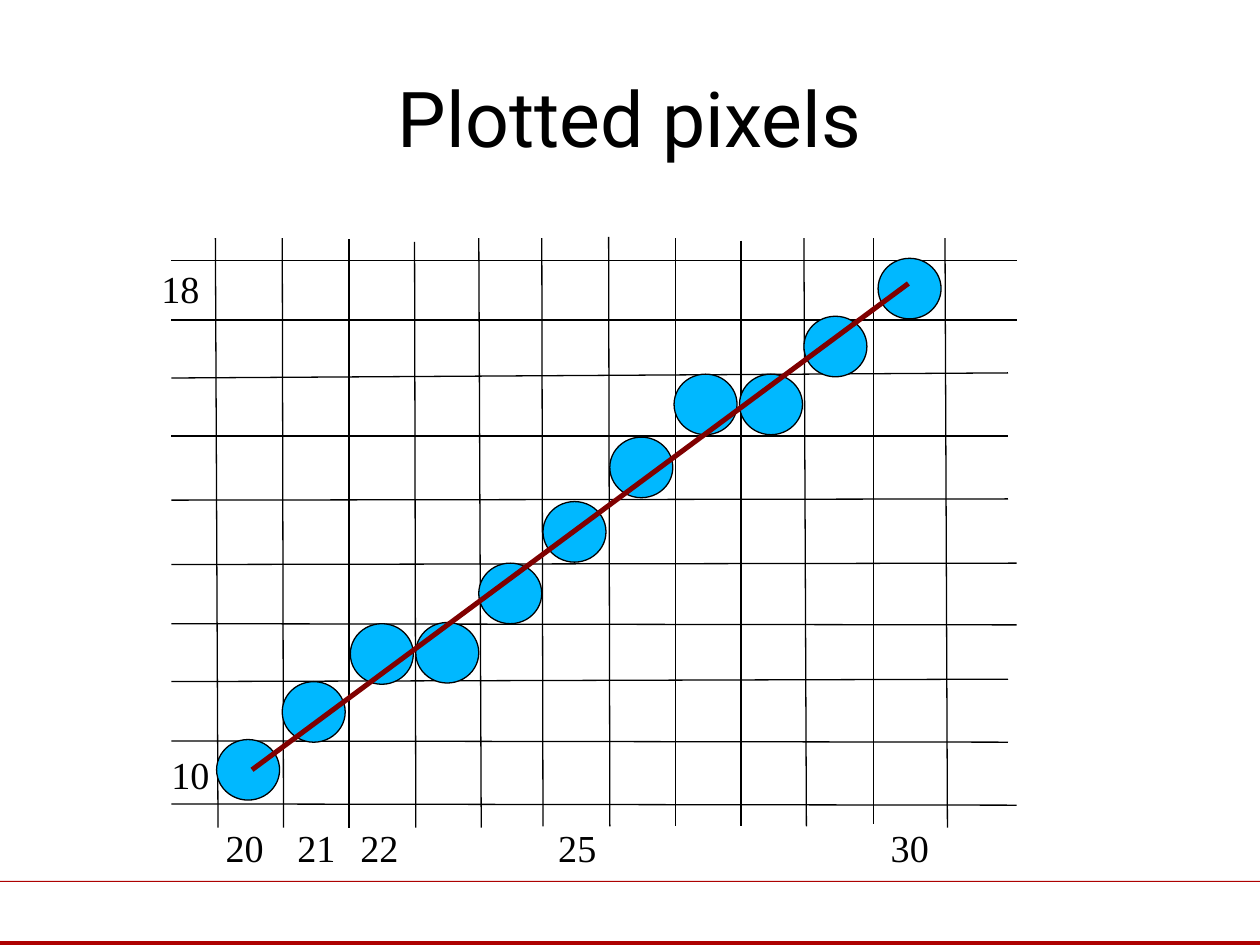
import pptx
import pptx.util
import pptx.dml.color
import pptx.enum.shapes
import pptx.enum.text
import pptx.oxml

Pt = pptx.util.Pt
RGBColor = pptx.dml.color.RGBColor
MSO_SHAPE = pptx.enum.shapes.MSO_SHAPE
MSO_CONNECTOR = pptx.enum.shapes.MSO_CONNECTOR
MSO_ANCHOR = pptx.enum.text.MSO_ANCHOR
MSO_AUTO_SIZE = pptx.enum.text.MSO_AUTO_SIZE
PP_ALIGN = pptx.enum.text.PP_ALIGN

BLACK = RGBColor(0x00, 0x00, 0x00)
RED = RGBColor(0xAD, 0x01, 0x01)
MAROON = RGBColor(0x80, 0x00, 0x00)
BLUE = RGBColor(0x00, 0xB8, 0xFF)

TITLE_FONT = {"name": "Roboto", "size": Pt(44)}
LABEL_FONT = {"name": "Times New Roman", "size": Pt(21.8)}
EFFECTS = '<a:effectLst xmlns:a="http://schemas.openxmlformats.org/drawingml/2006/main"/>'

GRID_LEFT = 97.9
COLUMNS = [
    (123.1, 136.1, 124.6, 473), (161.3, 136.1, 162, 473),
    (199.4, 136.8, 199.4, 473), (236.9, 138.2, 237.6, 473),
    (273.6, 136.1, 275, 473), (309.6, 136.1, 310.3, 472.3),
    (347.8, 135.4, 348.5, 472.3), (385.9, 136.1, 385.9, 472.3),
    (423.4, 137.5, 423.4, 472.3), (459.4, 136.1, 460.8, 472.3),
    (499, 136.1, 499, 470.9), (540, 136.1, 541.4, 473),
]
ROWS = [
    (149, 581, 149), (182.9, 581, 182.9), (216, 576, 213.1),
    (249.1, 576, 249.1), (285.8, 576, 285.1), (322.6, 581, 321.8),
    (356.4, 581, 357.1), (389.5, 576, 388.1), (423.4, 576, 424.1),
    (459.4, 581, 460.1),
]
PIXELS = [
    (123.8, 422.6), (161.3, 389.5), (200.2, 356.4), (237.6, 355.7),
    (273.6, 321.8), (310.3, 286.6), (348.5, 249.8), (385.2, 213.8),
    (422.6, 213.8), (459.4, 180.7), (501.8, 147.6),
]
X_LABEL_TOP = 470.9
X_LABELS = [("20", 128.9), ("21", 169.9), ("22", 205.9), ("25", 319), ("30", 509)]
Y_LABELS = [("10", 97.9, 429.1), ("18", 92.2, 151.9)]


def add_text(s, text, box, font, frame, align):
    tf = s.shapes.add_textbox(*map(Pt, box)).text_frame
    for name, value in frame.items():
        setattr(tf, name, value)
    p = tf.paragraphs[0]
    p.alignment = align
    r = p.add_run()
    r.text = text
    for name, value in font.items():
        setattr(r.font, name, value)
    r.font.color.rgb = BLACK


def add_label(s, text, left, top):
    frame = dict.fromkeys(
        ("margin_left", "margin_top", "margin_right", "margin_bottom"), 0)
    frame.update(word_wrap=False, auto_size=MSO_AUTO_SIZE.SHAPE_TO_FIT_TEXT)
    add_text(s, text, (left, top, 25.9, 26.6), LABEL_FONT, frame, PP_ALIGN.LEFT)


def add_filled(s, kind, box, fill, line=None):
    sp = s.shapes.add_shape(kind, *map(Pt, box))
    sp.shadow.inherit = False
    sp.fill.solid()
    sp.fill.fore_color.rgb = fill
    if line is None:
        sp.line.fill.background()
    else:
        sp.line.color.rgb = line
        sp.line.width = Pt(0.75)


def add_line(s, ends, color=BLACK, width=0.75):
    sp = s.shapes.add_connector(MSO_CONNECTOR.STRAIGHT, *map(Pt, ends))
    sp.line.color.rgb = color
    sp.line.width = Pt(width)
    sp._element.spPr.append(pptx.oxml.parse_xml(EFFECTS))


def main():
    prs = pptx.Presentation()
    prs.slide_width, prs.slide_height = Pt(720), Pt(540)
    s = prs.slides.add_slide(prs.slide_layouts[6])

    for top, height in ((503.3, 0.7), (537.8, 2.2)):
        add_filled(s, MSO_SHAPE.RECTANGLE, (0, top, 720, height), RED)
    add_text(s, "Plotted pixels", (36, 21.6, 648, 90), TITLE_FONT,
             {"word_wrap": True, "vertical_anchor": MSO_ANCHOR.MIDDLE},
             PP_ALIGN.CENTER)

    for ends in COLUMNS:
        add_line(s, ends)
    for y_left, right, y_right in ROWS:
        add_line(s, (GRID_LEFT, y_left, right, y_right))
    for text, left in X_LABELS:
        add_label(s, text, left, X_LABEL_TOP)
    for text, left, top in Y_LABELS:
        add_label(s, text, left, top)
    for left, top in PIXELS:
        add_filled(s, MSO_SHAPE.OVAL, (left, top, 36, 34.6), BLUE, BLACK)
    add_line(s, (144, 439.9, 519.1, 162), MAROON, 2.89)

    prs.save("out.pptx")


if __name__ == "__main__":
    main()
